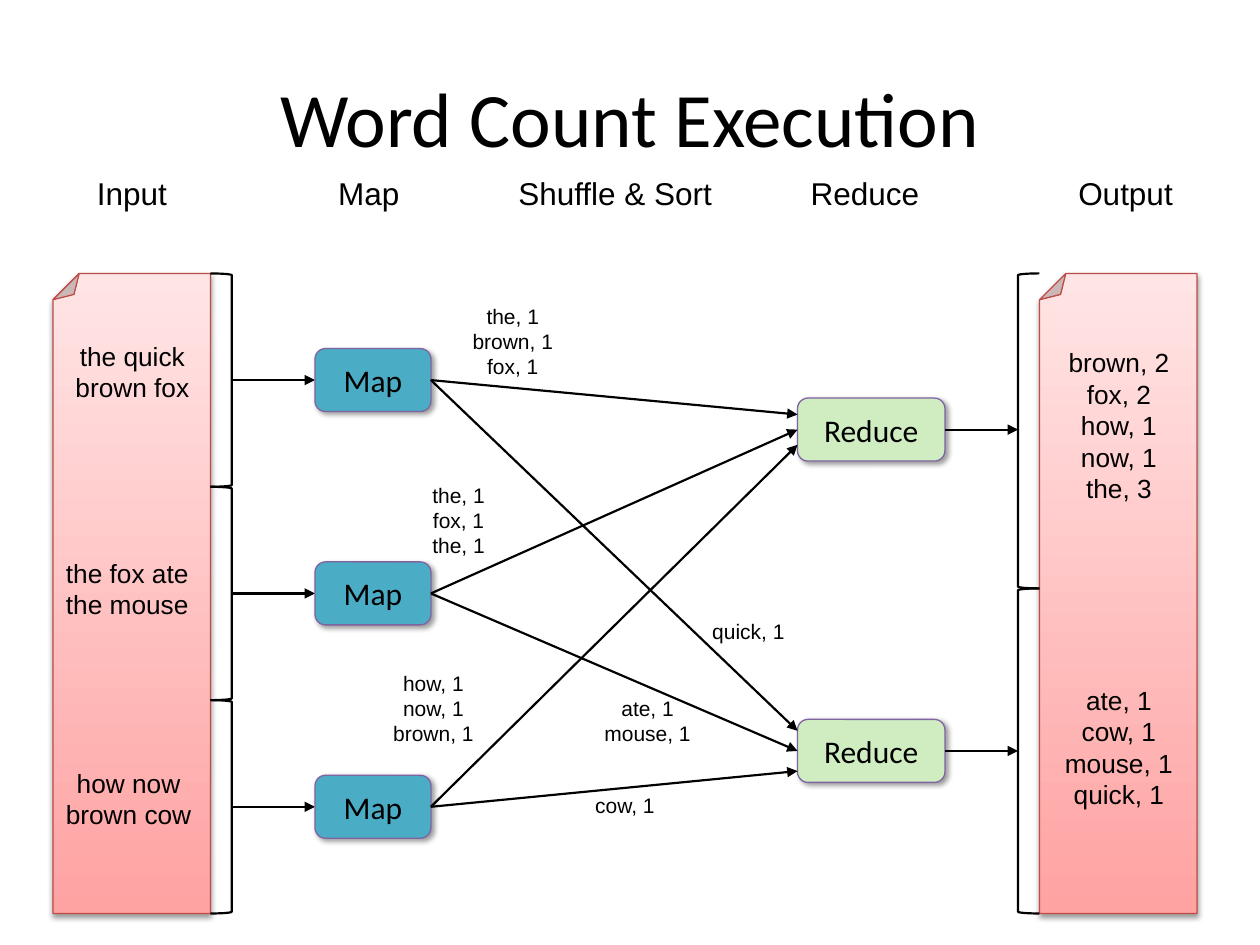
from lxml.etree import SubElement
from pptx import Presentation
from pptx.dml.color import RGBColor
from pptx.enum.shapes import MSO_CONNECTOR, MSO_SHAPE
from pptx.enum.text import MSO_ANCHOR, MSO_AUTO_SIZE, PP_ALIGN
from pptx.oxml.ns import qn
from pptx.util import Inches, Pt

BLACK = RGBColor(0x00, 0x00, 0x00)
MAP_BLUE = RGBColor(0x4B, 0xAC, 0xC6)
REDUCE_GREEN = RGBColor(0xD0, 0xED, 0xC2)
BOX_EDGE = RGBColor(0x80, 0x64, 0xA2)
PAGE_EDGE = RGBColor(0xBF, 0x4C, 0x48)
PAGE_DARK = RGBColor(0xFF, 0xA2, 0xA2)
PAGE_LIGHT = RGBColor(0xFF, 0xE5, 0xE5)

TITLE = "Word Count Execution"
HEADINGS = [
    ("Input", 1.05, 0.76),
    ("Map", 2.93, 0.69),
    ("Shuffle & Sort", 4.89, 1.75),
    ("Reduce", 6.87, 1.07),
    ("Output", 8.94, 0.96),
]
PAGE_TEXTS = [
    (["the quick", "brown fox"], 1.05, 2.65, 1.25),
    (["the fox ate", "the mouse"], 1.01, 4.37, 1.19),
    (["how now", "brown cow"], 1.02, 6.04, 1.21),
    (["brown, 2", "fox, 2", "how, 1", "now, 1", "the, 3"], 8.88, 2.7, 1.25),
    (["ate, 1", "cow, 1", "mouse, 1", "quick, 1"], 8.88, 5.38, 1.25),
]
PAIR_TEXTS = [
    (["the, 1", "brown, 1", "fox, 1"], 4.07, 2.36, 0.85),
    (["quick, 1"], 5.94, 4.86, 0.78),
    (["the, 1", "fox, 1", "the, 1"], 3.64, 3.78, 0.62),
    (["how, 1", "now, 1", "brown, 1"], 3.44, 5.27, 0.85),
    (["ate, 1", "mouse, 1"], 5.14, 5.47, 0.89),
    (["cow, 1"], 4.96, 6.24, 0.68),
]
REDUCERS = [(3.41, 0.12), (5.96, 0.16)]

PAGE_TOP, PAGE_HEIGHT, PAGE_WIDTH = 2.17, 5.08, 1.25
INPUT_LEFT, OUTPUT_LEFT = 0.42, 8.25
BRACKET_WIDTH, BOX_HEIGHT = 0.17, 0.5
MAP_LEFT, MAP_WIDTH = 2.5, 0.92
REDUCE_LEFT, REDUCE_WIDTH = 6.33, 1.17
INPUT_EDGE = INPUT_LEFT + PAGE_WIDTH
OUTPUT_EDGE = OUTPUT_LEFT - BRACKET_WIDTH
SPLIT_HEIGHT = PAGE_HEIGHT / 3
OUTPUT_SPLIT = 4.67
MAP_MIDDLES = [PAGE_TOP + SPLIT_HEIGHT * (row + 0.5) for row in range(3)]

presentation = Presentation()
presentation.slide_width, presentation.slide_height = Inches(10), Inches(7.5)
slide = presentation.slides.add_slide(presentation.slide_layouts[6])


def write(frame, lines, size, font_name, alignment=PP_ALIGN.CENTER):
    for index, line in enumerate(lines):
        paragraph = frame.add_paragraph() if index else frame.paragraphs[0]
        paragraph.alignment = alignment
        run = paragraph.add_run()
        run.text = line
        run.font.size = Pt(size)
        run.font.name = font_name
        run.font.color.rgb = BLACK


def add_label(lines, center, top, width, size, alignment=PP_ALIGN.CENTER):
    height = 0.1 + len(lines) * size / 60
    box = slide.shapes.add_textbox(
        Inches(center - width / 2), Inches(top), Inches(width), Inches(height))
    box.text_frame.word_wrap = False
    box.text_frame.auto_size = MSO_AUTO_SIZE.SHAPE_TO_FIT_TEXT
    write(box.text_frame, lines, size, "Arial", alignment)


def add_outline(preset, left, top, width, height, color, weight):
    shape = slide.shapes.add_shape(
        preset, Inches(left), Inches(top), Inches(width), Inches(height))
    shape.shadow.inherit = False
    shape.line.color.rgb = color
    shape.line.width = Pt(weight)
    return shape


def add_shadow(shape, blur, distance, degrees):
    effects = shape._element.spPr.find(qn("a:effectLst"))
    shadow = SubElement(
        effects, qn("a:outerShdw"), blurRad=str(Pt(blur)), dist=str(Pt(distance)),
        dir=str(degrees * 60000), algn="ctr", rotWithShape="0")
    color = SubElement(shadow, qn("a:srgbClr"), val=str(BLACK))
    SubElement(color, qn("a:alpha"), val="38000")


def add_page(left):
    page = add_outline(MSO_SHAPE.FOLDED_CORNER, left, PAGE_TOP,
                       PAGE_WIDTH, PAGE_HEIGHT, PAGE_EDGE, 0.75)
    page.rotation = 180
    page.fill.gradient()
    page.fill.gradient_angle = 270
    for stop, color in zip(page.fill.gradient_stops, (PAGE_DARK, PAGE_LIGHT)):
        stop.color.rgb = color
    add_shadow(page, 3.1, 1.6, 90)


def add_bracket(left, top, height, flipped=False):
    bracket = add_outline(MSO_SHAPE.RIGHT_BRACKET, left, top,
                          BRACKET_WIDTH, height, BLACK, 1.25)
    bracket.fill.background()
    if flipped:
        bracket._element.spPr.xfrm.set("flipH", "1")


def add_step(name, left, middle, width, color):
    step = add_outline(MSO_SHAPE.ROUNDED_RECTANGLE, left, middle - BOX_HEIGHT / 2,
                       width, BOX_HEIGHT, BOX_EDGE, 0.75)
    step.fill.solid()
    step.fill.fore_color.rgb = color
    add_shadow(step, 3, 2, 45)
    step.text_frame.vertical_anchor = MSO_ANCHOR.MIDDLE
    write(step.text_frame, [name], 18, "Calibri")


def add_arrow(start_x, start_y, end_x, end_y):
    arrow = slide.shapes.add_connector(
        MSO_CONNECTOR.STRAIGHT, Inches(start_x), Inches(start_y),
        Inches(end_x), Inches(end_y))
    arrow.line.color.rgb = BLACK
    arrow.line.width = Pt(1.25)
    SubElement(arrow.line._get_or_add_ln(), qn("a:tailEnd"), type="triangle")
    SubElement(arrow._element.spPr, qn("a:effectLst"))


title = slide.shapes.add_textbox(Inches(0.5), Inches(0.3), Inches(9), Inches(1.25))
title.text_frame.word_wrap = True
title.text_frame.vertical_anchor = MSO_ANCHOR.MIDDLE
write(title.text_frame, [TITLE], 44, "Calibri")

for page_left in (INPUT_LEFT, OUTPUT_LEFT):
    add_page(page_left)

for middle in MAP_MIDDLES:
    add_bracket(INPUT_EDGE, middle - SPLIT_HEIGHT / 2, SPLIT_HEIGHT)
    add_arrow(INPUT_EDGE + BRACKET_WIDTH, middle, MAP_LEFT, middle)
    add_step("Map", MAP_LEFT, middle, MAP_WIDTH, MAP_BLUE)

for middle, spread in REDUCERS:
    add_step("Reduce", REDUCE_LEFT, middle, REDUCE_WIDTH, REDUCE_GREEN)
    add_arrow(REDUCE_LEFT + REDUCE_WIDTH, middle, OUTPUT_EDGE, middle)
    for row, map_middle in enumerate(MAP_MIDDLES):
        add_arrow(MAP_LEFT + MAP_WIDTH, map_middle,
                  REDUCE_LEFT, middle + spread * (row - 1))

output_stops = [PAGE_TOP, OUTPUT_SPLIT, PAGE_TOP + PAGE_HEIGHT]
for top, bottom in zip(output_stops, output_stops[1:]):
    add_bracket(OUTPUT_EDGE, top, bottom - top, flipped=True)

for size, labels in ((15, PAGE_TEXTS), (12, PAIR_TEXTS)):
    for lines, center, top, width in labels:
        add_label(lines, center, top, width, size)

for heading, center, width in HEADINGS:
    add_label([heading], center, 1.33, width, 18, PP_ALIGN.LEFT)

presentation.save("out.pptx")
